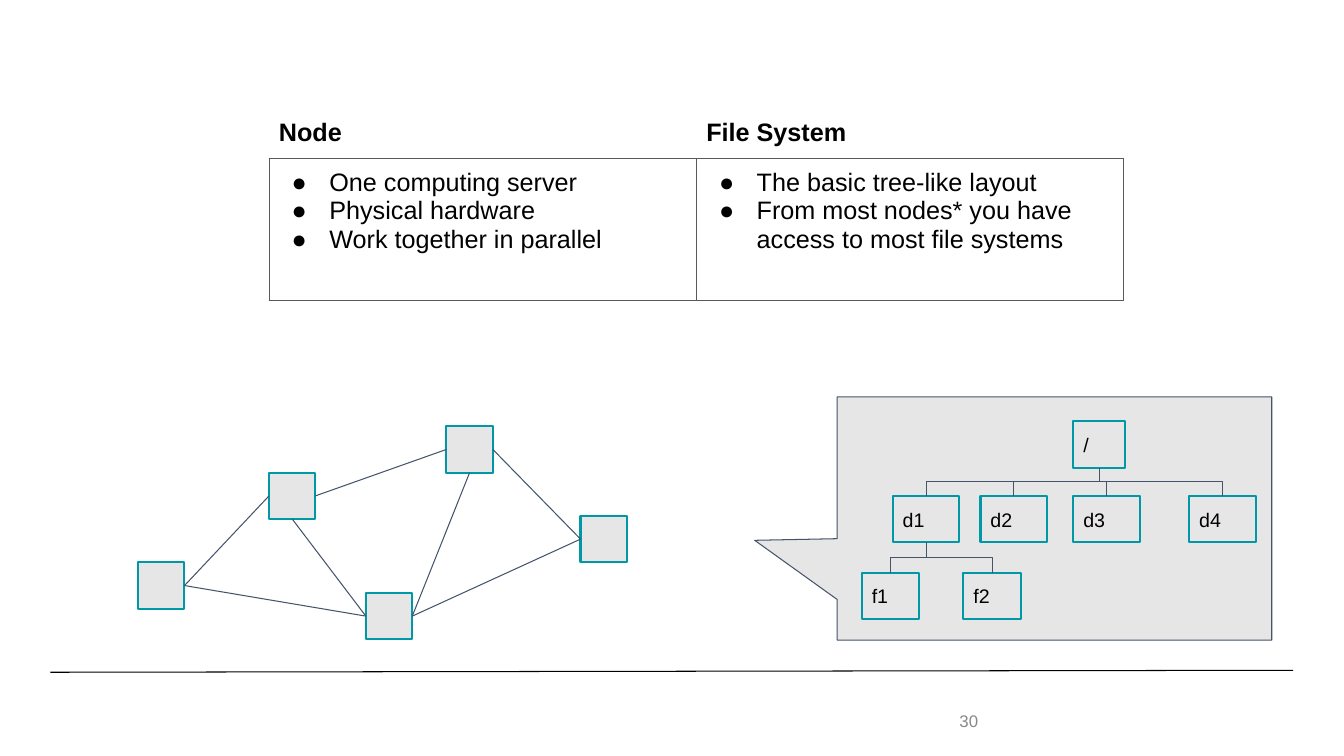
from lxml import etree
from pptx import Presentation
from pptx import util as u
from pptx.dml.color import RGBColor
from pptx.enum import shapes, text
from pptx.oxml import ns

FONT = "Arial"
BLACK, WHITE, GREY, SLATE, TEAL, BORDER = "000000", "FFFFFF", "E7E6E6", "44546A", "0097A7", "595959"
LEFT, BOTTOM, RIGHT = 1, 2, 3
NODE_SIZE = 1.17
BOX_HEIGHT = 1.17


def colour(value):
    return RGBColor.from_string(value)


def child(parent, tag, **attributes):
    return etree.SubElement(parent, ns.qn(tag), attributes)


def write(paragraph, words, size=14, shade=BLACK, bold=False):
    span = paragraph.add_run()
    span.text = words
    span.font.name = FONT
    span.font.size = u.Pt(size)
    span.font.bold = bold
    span.font.color.rgb = colour(shade)


def set_frame(frame, horizontal=0.25, vertical=0.25):
    frame.word_wrap = True
    frame.vertical_anchor = text.MSO_ANCHOR.MIDDLE
    frame.margin_left = frame.margin_right = u.Cm(horizontal)
    frame.margin_top = frame.margin_bottom = u.Cm(vertical)
    return frame.paragraphs[0]


def add_box(page, kind, left, top, width, height, outline, weight, words=""):
    box = page.shapes.add_shape(kind, u.Cm(left), u.Cm(top), u.Cm(width), u.Cm(height))
    box.shadow.inherit = False
    box.fill.solid()
    box.fill.fore_color.rgb = colour(GREY)
    box.line.color.rgb = colour(outline)
    box.line.width = u.Pt(weight)
    if words:
        para = set_frame(box.text_frame)
        para.alignment = text.PP_ALIGN.LEFT
        write(para, words)
    return box


def add_line(page, start, end, shade=SLATE, kind=shapes.MSO_CONNECTOR.STRAIGHT):
    line = page.shapes.add_connector(kind, *(u.Cm(value) for value in (*start, *end)))
    line.line.color.rgb = colour(shade)
    line.line.width = u.Pt(0.75)
    child(line._element.spPr, "a:effectLst")
    return line


def add_link(page, first, first_side, second, second_side):
    line = add_line(page, (0, 0), (1, 1))
    line.begin_connect(first, first_side)
    line.end_connect(second, second_side)


def add_branch(page, parent, branch):
    start_x, start_y = (parent.left + parent.width / 2) / u.Cm(1), (parent.top + parent.height) / u.Cm(1)
    end_x, end_y = (branch.left + branch.width / 2) / u.Cm(1), branch.top / u.Cm(1)
    middle_x, middle_y = (start_x + end_x) / 2, (start_y + end_y) / 2
    half_run, half_drop = (end_x - start_x) / 2, (end_y - start_y) / 2
    line = add_line(
        page,
        (middle_x - half_drop, middle_y + half_run),
        (middle_x + half_drop, middle_y - half_run),
        kind=shapes.MSO_CONNECTOR.ELBOW,
    )
    line._element.spPr.get_or_add_xfrm().set("rot", "5400000")


def set_borders(cell, **sides):
    properties = cell._tc.get_or_add_tcPr()
    for side in "LRTB":
        edge = child(properties, f"a:ln{side}", w=str(u.Pt(0.75)))
        child(child(edge, "a:solidFill"), "a:srgbClr", val=sides.get(side, BORDER))


def add_bullet(paragraph):
    properties = paragraph._p.get_or_add_pPr()
    properties.set("marL", str(u.Cm(1.27)))
    properties.set("indent", str(u.Cm(-0.95)))
    child(child(properties, "a:buClr"), "a:srgbClr", val=BLACK)
    child(properties, "a:buFont", typeface=FONT)
    child(properties, "a:buChar", char="●")


def add_definitions(page, definitions):
    table = page.shapes.add_table(2, 2, u.Cm(6.78), u.Cm(2.74), u.Cm(21.54), u.Cm(4.8)).table
    table.first_row = table.horz_banding = False
    table.rows[0].height, table.rows[1].height = u.Cm(1.24), u.Cm(3.56)
    for column, (heading, points) in enumerate(definitions):
        title, body = table.cell(0, column), table.cell(1, column)
        set_borders(title, L=WHITE, R=WHITE, T=WHITE)
        set_borders(body)
        for cell in (title, body):
            cell.fill.background()
            cell.margin_left = cell.margin_right = u.Cm(0.25)
            cell.margin_top = cell.margin_bottom = u.Cm(0.25)
        write(title.text_frame.paragraphs[0], heading, size=18, bold=True)
        for index, point in enumerate(points):
            frame = body.text_frame
            para = frame.add_paragraph() if index else frame.paragraphs[0]
            add_bullet(para)
            write(para, point, size=18)


def add_network(page):
    places = [(6.78, 11.91), (11.25, 10.74), (14.63, 13), (9.22, 14.94), (3.48, 14.17)]
    upper, top, right, lower, left = [
        add_box(page, shapes.MSO_SHAPE.RECTANGLE, *place, NODE_SIZE, NODE_SIZE, TEAL, 1.5)
        for place in places
    ]
    links = [
        (left, RIGHT, upper, LEFT),
        (left, RIGHT, lower, LEFT),
        (upper, BOTTOM, lower, LEFT),
        (upper, RIGHT, top, LEFT),
        (top, BOTTOM, lower, RIGHT),
        (top, RIGHT, right, LEFT),
        (lower, RIGHT, right, LEFT),
    ]
    for link in links:
        add_link(page, *link)


def add_level(page, top, width, entries):
    return [
        add_box(page, shapes.MSO_SHAPE.RECTANGLE, left, top, width, BOX_HEIGHT, TEAL, 1.5, name)
        for name, left in entries
    ]


def add_tree(page):
    callout = add_box(page, shapes.MSO_SHAPE.RECTANGULAR_CALLOUT, 21.1, 10, 10.95, 6.13, SLATE, 0.75)
    callout.adjustments[0], callout.adjustments[1] = -0.69, 0.09
    [root] = add_level(page, 10.62, 1.3, [("/", 27.05)])
    folders = add_level(page, 12.5, 1.68, [("d1", 22.5), ("d2", 24.71), ("d3", 27.05), ("d4", 29.97)])
    files = add_level(page, 14.43, 1.45, [("f1", 21.72), ("f2", 24.28)])
    for parent, branches in ((root, folders), (folders[0], files)):
        for branch in branches:
            add_branch(page, parent, branch)


def add_page_number(page, number):
    box = page.shapes.add_textbox(u.Cm(23.93), u.Cm(17.65), u.Cm(1.9), u.Cm(1.02))
    write(set_frame(box.text_frame, vertical=0.13), number, size=12, shade="888888")


def main():
    deck = Presentation()
    deck.slide_width, deck.slide_height = u.Cm(33.87), u.Cm(19.05)
    page = deck.slides.add_slide(deck.slide_layouts[6])
    add_line(page, (1.27, 16.94), (32.59, 16.89), BLACK)
    add_page_number(page, "30")
    add_definitions(page, [
        ("Node", ["One computing server", "Physical hardware", "Work together in parallel"]),
        ("File System", [
            "The basic tree-like layout",
            "From most nodes* you have access to most file systems",
        ]),
    ])
    add_network(page)
    add_tree(page)
    deck.save("out.pptx")


if __name__ == "__main__":
    main()
